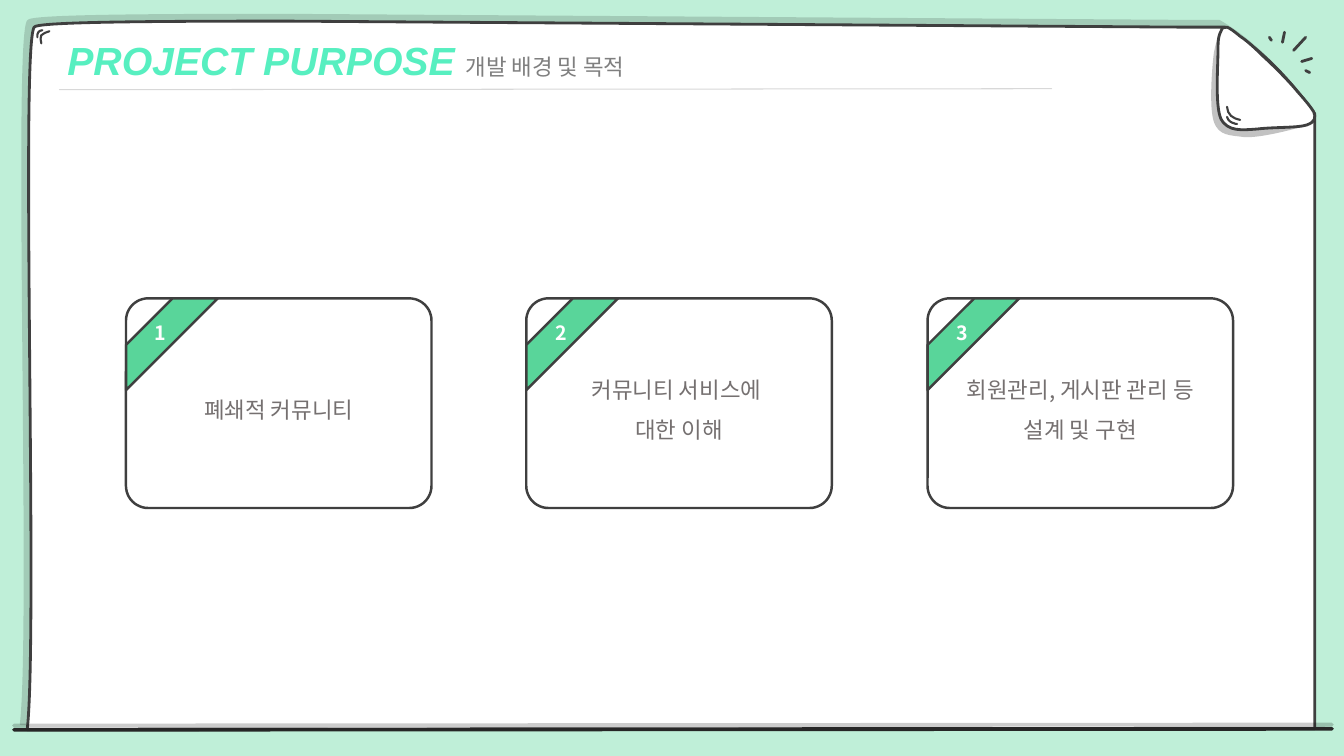
from lxml import etree
from pptx import Presentation
from pptx import util as u
from pptx.dml.color import RGBColor
from pptx.enum import shapes, text
from pptx.oxml.ns import qn

COLORS = {
    "mint": "BFEFD8", "paper": "FFFFFF", "ink": "3F3F3F", "ground": "262626",
    "shade": "000000", "rule": "D8D8D8", "title": "57EFC0", "subtitle": "7F7F7F",
    "ribbon": "59D59A", "body": "757070",
}
KOREAN = "Noto Sans CJK KR"


def style(shape, line=None, width=0, fill=None, opacity=100, shadow=None):
    properties = shape._element.spPr
    if hasattr(shape, "fill"):
        if fill:
            shape.fill.solid()
            shape.fill.fore_color.rgb = RGBColor.from_string(COLORS[fill])
            if opacity < 100:
                color = properties.find(qn("a:solidFill"))[0]
                etree.SubElement(color, qn("a:alpha"), val=str(opacity * 1000))
        else:
            shape.fill.background()
    if line:
        shape.line.color.rgb = RGBColor.from_string(COLORS[line])
        shape.line.width = u.Pt(width)
        properties.find(qn("a:ln")).set("cap", "rnd")
    else:
        shape.line.fill.background()
    effects = etree.SubElement(properties, qn("a:effectLst"))
    if shadow:
        strength, distance, angle = shadow
        outer = etree.SubElement(effects, qn("a:outerShdw"), blurRad="0", dist=str(u.Pt(distance)),
                                 dir=str(angle * 60000), algn="ctr", rotWithShape="0")
        color = etree.SubElement(outer, qn("a:srgbClr"), val=COLORS["shade"])
        etree.SubElement(color, qn("a:alpha"), val=str(strength * 1000))


def write(paragraph, words, size, color, font=KOREAN, bold=False, italic=False):
    run = paragraph.add_run()
    run.text = words
    run.font.size = u.Pt(size)
    run.font.name = font
    run.font.bold = bold
    run.font.italic = italic
    run.font.color.rgb = RGBColor.from_string(COLORS[color])
    etree.SubElement(run._r.get_or_add_rPr(), qn("a:ea"), typeface=font)


presentation = Presentation()
presentation.slide_width = u.Inches(13.33)
presentation.slide_height = u.Inches(7.5)
slide = presentation.slides.add_slide(presentation.slide_layouts[6])
slide.background.fill.solid()
slide.background.fill.fore_color.rgb = RGBColor.from_string(COLORS["mint"])

corner_stroke = {"line": "ink", "width": 1.5}
sheet = [
    (2.85, 0.21), (11.75, 0.27), (12.15, 0.27),
    (12.51, 0.48, 12.8, 0.8, 13.04, 1.13), (13.04, 7.23), (0.27, 7.24),
    (0.38, 6.29, 0.2, 0.45, 0.34, 0.27), (0.36, 0.22, 1.37, 0.21, 2.85, 0.21),
]
fold_shade = [
    (12.46, 0.59), (12.35, 0.49, 12.27, 0.41, 12.22, 0.35),
    (12.17, 0.3, 12.16, 0.28, 12.14, 0.27), (12.12, 0.27, 12.11, 0.27, 12.1, 0.31),
    (12.08, 0.36, 12.07, 0.38, 12.04, 0.52), (12.02, 0.67, 11.99, 1.07, 12.04, 1.21),
    (12.09, 1.35, 12.2, 1.34, 12.34, 1.36), (12.48, 1.37, 12.76, 1.3, 12.87, 1.27),
    (12.99, 1.24, 13.07, 1.22, 13.04, 1.17), (13.01, 1.12, 12.95, 1.06, 12.85, 0.97),
    (12.75, 0.87, 12.56, 0.69, 12.46, 0.59),
]
fold = [
    (12.52, 0.55), (12.43, 0.46, 12.36, 0.4, 12.3, 0.36),
    (12.24, 0.31, 12.2, 0.28, 12.17, 0.27), (12.14, 0.27, 12.12, 0.27, 12.11, 0.31),
    (12.09, 0.35, 12.08, 0.37, 12.08, 0.51), (12.08, 0.66, 12.05, 1.05, 12.11, 1.18),
    (12.18, 1.31, 12.32, 1.29, 12.47, 1.28), (12.63, 1.26, 12.87, 1.27, 12.96, 1.24),
    (13.05, 1.21, 13.05, 1.16, 13.03, 1.11), (13, 1.06, 12.95, 1, 12.87, 0.91),
    (12.79, 0.81, 12.62, 0.64, 12.52, 0.55),
]
outlines = [
    (sheet, True, {"fill": "paper", "line": "ink", "width": 2, "shadow": (15, 6, 225)}),
    ([(0.41, 0.43), (0.4, 0.4, 0.4, 0.37, 0.41, 0.35), (0.43, 0.33, 0.46, 0.32, 0.49, 0.31)],
     False, corner_stroke),
    ([(0.37, 0.37), (0.37, 0.35, 0.37, 0.33, 0.38, 0.32), (0.39, 0.31, 0.4, 0.3, 0.42, 0.3)],
     False, corner_stroke),
    (fold_shade, True, {"fill": "shade", "opacity": 24}),
    (fold, True, {"fill": "paper", "line": "ink", "width": 2}),
    ([(12.17, 1.06), (12.18, 1.1, 12.18, 1.13, 12.21, 1.15), (12.23, 1.17, 12.26, 1.18, 12.3, 1.19)],
     False, corner_stroke),
    ([(12.17, 1.16), (12.18, 1.2, 12.22, 1.22, 12.23, 1.22), (12.25, 1.23, 12.26, 1.23, 12.27, 1.23)],
     False, corner_stroke),
]
for segments, closed, look in outlines:
    vertices = [(u.Inches(segment[-2]), u.Inches(segment[-1])) for segment in segments]
    builder = slide.shapes.build_freeform(*vertices[0])
    builder.add_line_segments(vertices[1:], close=closed)
    shape = builder.convert_to_shape()
    straight_steps = list(shape._element.spPr.iter(qn("a:lnTo")))
    for step, segment in zip(straight_steps, segments[1:]):
        if len(segment) == 2:
            continue
        curve = etree.Element(qn("a:cubicBezTo"))
        for x, y in zip(segment[::2], segment[1::2]):
            etree.SubElement(curve, qn("a:pt"), x=str(u.Inches(x) - shape.left),
                             y=str(u.Inches(y) - shape.top))
        step.getparent().replace(step, curve)
    style(shape, **look)

spark = {"line": "ink", "width": 2}
lines = [
    (0.14, 7.24, 13.21, 7.23, {"line": "ground", "width": 2.75, "shadow": (20, 3, 270)}),
    (0.59, 0.89, 10.43, 0.88, {"line": "rule", "width": 0.75}),
    (12.95, 0.37, 12.83, 0.5, spark),
    (13.01, 0.58, 12.91, 0.61, spark),
    (12.74, 0.32, 12.72, 0.42, spark),
    (12.59, 0.37, 12.61, 0.4, spark),
    (12.99, 0.72, 12.95, 0.7, spark),
]
for *ends, look in lines:
    connector = slide.shapes.add_connector(shapes.MSO_CONNECTOR.STRAIGHT, *map(u.Inches, ends))
    style(connector, **look)

heading = slide.shapes.add_textbox(u.Inches(0.57), u.Inches(0.31), u.Inches(8.39), u.Inches(0.57))
heading.text_frame.word_wrap = True
paragraph = heading.text_frame.paragraphs[0]
write(paragraph, "PROJECT PURPOSE ", 28, "title", font="Arial", bold=True, italic=True)
write(paragraph, "개발 배경 및 목적", 16, "subtitle")

CARD_TOP = 2.96
cards = [
    (1.25, ["폐쇄적 커뮤니티"]),
    (5.22, ["커뮤니티 서비스에 ", "대한 이해"]),
    (9.2, ["회원관리, 게시판 관리 등", "설계 및 구현"]),
]
for position, (left, card_lines) in enumerate(cards, start=1):
    parts = [
        (shapes.MSO_SHAPE.ROUNDED_RECTANGLE, 3.03, 2.08, 0.106, "paper",
         card_lines, 1.5, {"size": 16, "color": "body"}),
        (shapes.MSO_SHAPE.DIAGONAL_STRIPE, 0.91, 0.91, 0.508, "ribbon",
         [str(position)], 1, {"size": 14, "color": "paper", "bold": True}),
    ]
    for kind, width, height, adjustment, fill, words, spacing, font in parts:
        shape = slide.shapes.add_shape(kind, u.Inches(left), u.Inches(CARD_TOP),
                                       u.Inches(width), u.Inches(height))
        shape.adjustments[0] = adjustment
        style(shape, line="ink", width=1.75, fill=fill)
        frame = shape.text_frame
        frame.word_wrap = True
        frame.vertical_anchor = text.MSO_ANCHOR.MIDDLE
        for number, line in enumerate(words):
            paragraph = frame.add_paragraph() if number else frame.paragraphs[0]
            paragraph.alignment = text.PP_ALIGN.CENTER
            paragraph.line_spacing = spacing
            write(paragraph, line, **font)

presentation.save("out.pptx")
